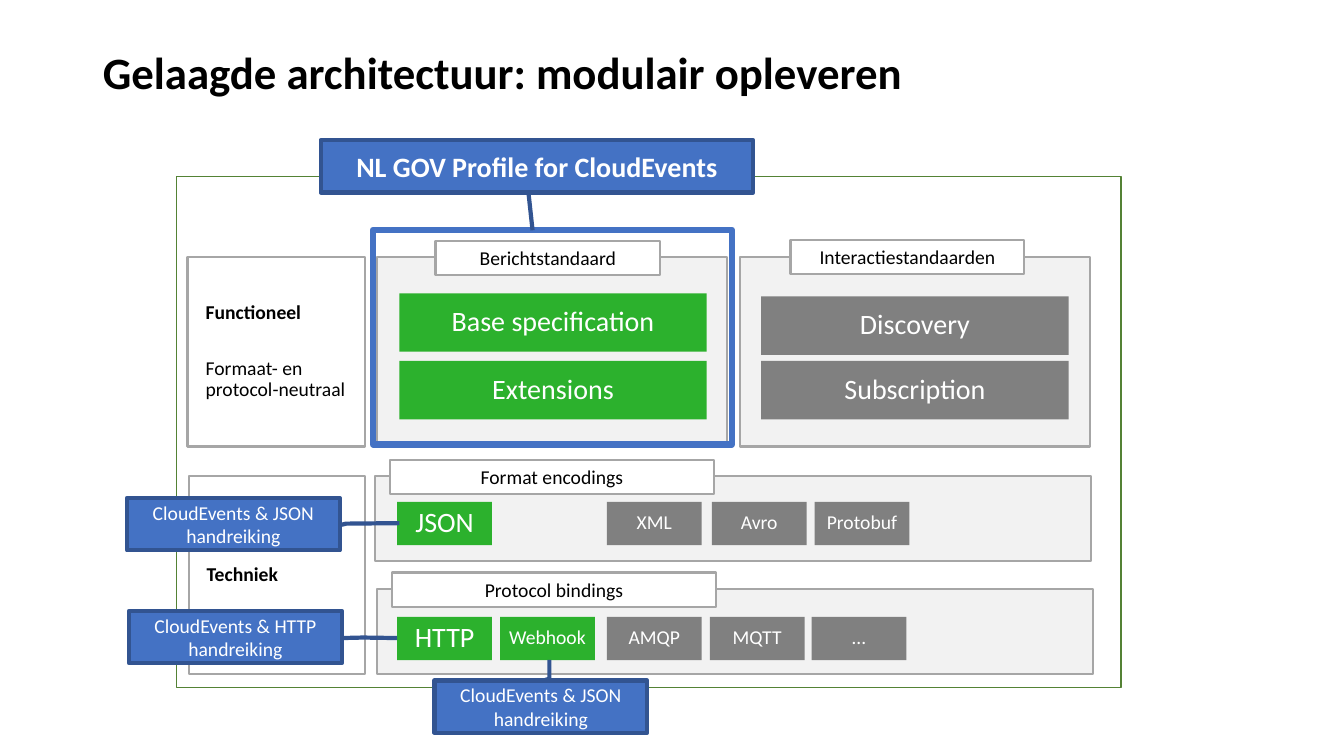
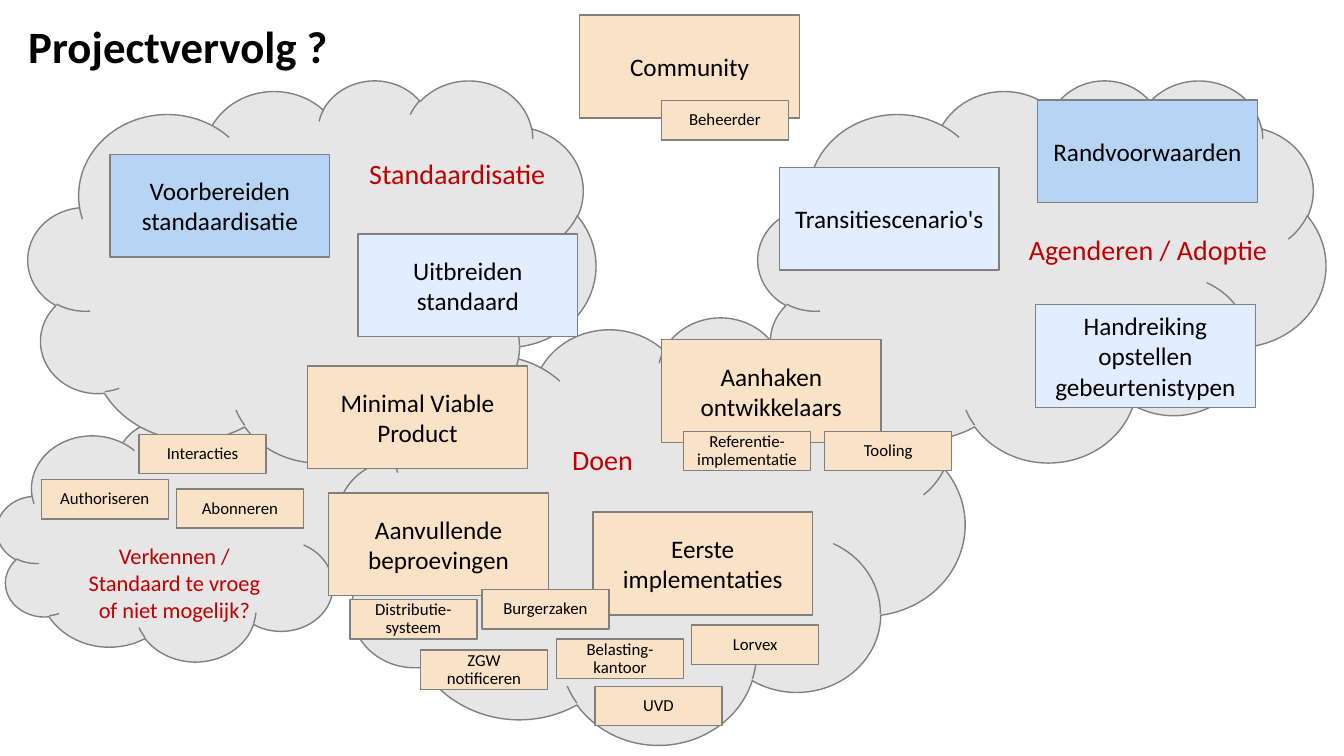
from dataclasses import dataclass

from pptx import Presentation
from pptx.dml.color import RGBColor
from pptx.enum.shapes import MSO_SHAPE
from pptx.enum.text import MSO_ANCHOR, MSO_AUTO_SIZE, PP_ALIGN
from pptx.util import Pt

RECT, CLOUD, CALLOUT = MSO_SHAPE.RECTANGLE, MSO_SHAPE.CLOUD, MSO_SHAPE.LINE_CALLOUT_2
LEFT, CENTER = PP_ALIGN.LEFT, PP_ALIGN.CENTER
MIDDLE, TOP = MSO_ANCHOR.MIDDLE, MSO_ANCHOR.TOP
NO_FIT = MSO_AUTO_SIZE.NONE
PX = 9144  # 100 px to the inch
SLIDE_W, SLIDE_H = 1333, 750
TITLE_ONLY = 5


# Theme
@dataclass(frozen=True)
class Theme:
    font: str = "Calibri"
    black: str = "000000"
    white: str = "FFFFFF"
    red: str = "C00000"
    panel: str = "F2F2F2"
    panel_line: str = "A6A6A6"
    grey: str = "808080"
    green: str = "2CB12D"
    border: str = "548235"
    blue: str = "4472C4"
    blue_line: str = "325491"
    cloud: str = "E7E6E6"
    sand: str = "F9E2C5"
    sky: str = "B6D5F5"
    ice: str = "E2EDFF"
    title: int = 32
    head: int = 20
    box: int = 18
    note: int = 16
    body: int = 14
    small: int = 12


T = Theme()


@dataclass(frozen=True)
class Style:
    fill: str = ""
    line: str = ""
    width: float = 1
    size: int = T.body
    color: str = T.black
    bold: bool = False
    align: int = CENTER
    spacing: float = 1.0
    margins: tuple = (10, 0)  # horizontal, vertical


TITLE = Style(size=T.title, bold=True, align=LEFT, spacing=0.9)
BORDER = Style(line=T.border)
FRAME = Style(line=T.blue, width=4.5)
PANEL = Style(T.panel, T.panel_line, 1.5)
LABEL = Style(T.white, T.panel_line, 1.5)
LAYER = Style(T.white, T.panel_line, 1.5, align=LEFT, spacing=0.9, margins=(18, 0))
CALL_HEAD = Style(T.blue, T.blue_line, 3, T.head, T.white, True)
CALL = Style(T.blue, T.blue_line, 3, T.body, T.white)
CLOUDS = Style(T.cloud, T.grey)
SMALL = Style(T.sand, T.grey, size=T.small, spacing=0.9)
THEME_WORD = Style(size=T.head, color=T.red, margins=(0, 5))
QUESTION = Style(size=T.note, color=T.red, margins=(10, 5))

# Slide 1 content: positions are left, top, width, height in px
ARCH_TITLE = ("Gelaagde architectuur: modulair opleveren", (92, 40, 1150, 69))
ARCH_BORDER = (175, 175, 937, 507)
ARCH_PANELS = [(374, 255, 347, 188), (734, 255, 347, 188),
               (372, 472, 710, 85), (374, 584, 710, 85)]
ARCH_LABELS = [
    ("Berichtstandaard", (432, 239, 223, 34)),
    ("Interactiestandaarden", (784, 238, 232, 34)),
    ("Format encodings", (387, 456, 321, 34)),
    ("Protocol bindings", (389, 568, 321, 34)),
]
LAYERS = [
    (("Functioneel", "Formaat- en protocol-neutraal"), (186, 255, 176, 188)),
    (("Techniek",), (187, 472, 175, 197)),
]
LAYER_GAP = 25
BLOCK_W, BLOCK_H = 305, 58
BLOCKS = [
    ("Base specification", T.green, 396, 291),
    ("Extensions", T.green, 396, 358),
    ("Discovery", T.grey, 755, 294),
    ("Subscription", T.grey, 755, 358),
]
CHIP_W, CHIP_H = 94, 43
CHIP_ROWS = {  # row top: text, fill, size, left
    498: [("JSON", T.green, T.head, 394), ("XML", T.grey, T.body, 602),
          ("Avro", T.grey, T.body, 706), ("Protobuf", T.grey, T.body, 808)],
    612: [("HTTP", T.green, T.head, 394), ("Webhook", T.green, T.body, 496),
          ("AMQP", T.grey, T.body, 602), ("MQTT", T.grey, T.body, 704),
          ("…", T.grey, T.body, 805)],
}
PROFILE_FRAME = (370, 228, 356, 213)
CALLOUTS = [  # text, style, position, leader as y, x fractions of the box
    ("NL GOV Profile for CloudEvents", CALL_HEAD, (318, 139, 429, 52),
     (0.96, 0.48, 0.96, 0.48, 1.72, 0.49)),
    ("CloudEvents & JSON handreiking", CALL, (126, 494, 211, 52),
     (0.52, 1, 0.49, 1.03, 0.48, 1.28)),
    ("CloudEvents & HTTP handreiking", CALL, (128, 606, 211, 52),
     (0.52, 1, 0.51, 1.1, 0.52, 1.26)),
    ("CloudEvents & JSON handreiking", CALL, (431, 675, 211, 52),
     (-0.01, 0.52, -0.03, 0.54, -0.39, 0.54)),
]

# Slide 2 content
NEXT_TITLE = ("Projectvervolg ?", (18, 14, 337, 69))
CLOUD_AREAS = [(-3, 410, 385, 246), (335, 314, 622, 424),
               (28, 79, 563, 379), (752, 79, 563, 379)]
BOX_W, BOX_H = 218, 102
BOXES = {  # fill: text, left, top
    T.sand: [
        ("Minimal Viable Product", 305, 363),
        ("Eerste implementaties", 588, 508),
        ("Aanvullende beproevingen", 326, 489),
        ("Aanhaken ontwikkelaars", 656, 337),
        ("Community", 575, 15),
    ],
    T.sky: [
        ("Voorbereiden\nstandaardisatie", 109, 153),
        ("Randvoorwaarden", 1029, 99),
    ],
    T.ice: [
        ("Uitbreiden standaard", 355, 232),
        ("Transitiescenario's", 773, 166),
        ("Handreiking\nopstellen gebeurtenistypen", 1027, 302),
    ],
}
TAG_W, TAG_H = 126, 39
TAGS = [
    ("Abonneren", 175, 485),
    ("Authoriseren", 41, 476),
    ("Interacties", 138, 431),
    ("Burgerzaken", 478, 585),
    ("Distributie-systeem", 347, 595),
    ("Beheerder", 656, 100),
    ("ZGW notificeren", 417, 645),
    ("Referentie-implementatie", 678, 428),
    ("Tooling", 818, 428),
    ("Lorvex", 686, 620),
    ("UVD", 590, 681),
    ("Belasting-kantoor", 552, 634),
]
WORDS = [
    ("Agenderen / Adoptie", THEME_WORD, (1009, 226, 259, 44)),
    ("Doen", THEME_WORD, (557, 434, 81, 44)),
    ("Standaardisatie", THEME_WORD, (355, 150, 197, 44)),
    ("Verkennen /\nStandaard te vroeg\nof niet mogelijk?", QUESTION, (33, 533, 280, 91)),
]


# Helpers
def emu(at):
    return [v * PX for v in at]


def rgb(value):
    return RGBColor.from_string(value)


def write(shape, text, style, anchor=MIDDLE):
    tf = shape.text_frame
    tf.text = text
    tf.word_wrap = True
    tf.auto_size = NO_FIT
    tf.vertical_anchor = anchor
    side, edge = emu(style.margins)
    tf.margin_left = tf.margin_right = side
    tf.margin_top = tf.margin_bottom = edge
    for p in tf.paragraphs:
        p.alignment = style.align
        p.line_spacing = style.spacing
        for r in p.runs:
            r.font.name = T.font
            r.font.size = Pt(style.size)
            r.font.bold = style.bold
            r.font.color.rgb = rgb(style.color)
    return tf


def add_shape(s, kind, at, style, text=""):
    sp = s.shapes.add_shape(kind, *emu(at))
    sp.shadow.inherit = False
    if style.fill:
        sp.fill.solid()
        sp.fill.fore_color.rgb = rgb(style.fill)
    else:
        sp.fill.background()
    if style.line:
        sp.line.color.rgb = rgb(style.line)
        sp.line.width = Pt(style.width)
    else:
        sp.line.fill.background()
    if text:
        write(sp, text, style)
    return sp


def add_slide(prs, title):
    text, at = title
    s = prs.slides.add_slide(prs.slide_layouts[TITLE_ONLY])
    sp = s.shapes.title
    sp.left, sp.top, sp.width, sp.height = emu(at)
    write(sp, text, TITLE)
    return s


def architecture_slide(prs):
    s = add_slide(prs, ARCH_TITLE)
    add_shape(s, RECT, ARCH_BORDER, BORDER)

    # Layers, panels and their labels
    for lines, at in LAYERS:
        sp = add_shape(s, RECT, at, LAYER, "\n".join(lines))
        sp.text_frame.margin_right = 10 * PX
        heading = sp.text_frame.paragraphs[0]
        heading.runs[0].font.bold = True
        if len(lines) > 1:
            heading.space_after = Pt(LAYER_GAP)
    for at in ARCH_PANELS:
        add_shape(s, RECT, at, PANEL)
    for text, at in ARCH_LABELS:
        add_shape(s, RECT, at, LABEL, text)

    # Building blocks
    for text, fill, x, y in BLOCKS:
        style = Style(fill, size=T.head, color=T.white, spacing=0.9)
        add_shape(s, RECT, (x, y, BLOCK_W, BLOCK_H), style, text)
    for y, chips in CHIP_ROWS.items():
        for text, fill, size, x in chips:
            style = Style(fill, size=size, color=T.white, spacing=0.9, margins=(8, 0))
            add_shape(s, RECT, (x, y, CHIP_W, CHIP_H), style, text)

    # Profile frame and callouts
    add_shape(s, RECT, PROFILE_FRAME, FRAME)
    for text, style, at, leader in CALLOUTS:
        sp = add_shape(s, CALLOUT, at, style, text)
        for i, value in enumerate(leader):
            sp.adjustments[i] = value


def follow_up_slide(prs):
    s = add_slide(prs, NEXT_TITLE)
    for at in CLOUD_AREAS:
        add_shape(s, CLOUD, at, CLOUDS)

    # Activities and their details
    for fill, boxes in BOXES.items():
        style = Style(fill, T.grey, size=T.box)
        for text, x, y in boxes:
            add_shape(s, RECT, (x, y, BOX_W, BOX_H), style, text)
    for text, x, y in TAGS:
        add_shape(s, RECT, (x, y, TAG_W, TAG_H), SMALL, text)

    # Cloud names
    for text, style, at in WORDS:
        write(s.shapes.add_textbox(*emu(at)), text, style, TOP)


def main():
    prs = Presentation()
    prs.slide_width, prs.slide_height = emu((SLIDE_W, SLIDE_H))
    architecture_slide(prs)
    follow_up_slide(prs)
    prs.save("out.pptx")


if __name__ == "__main__":
    main()
